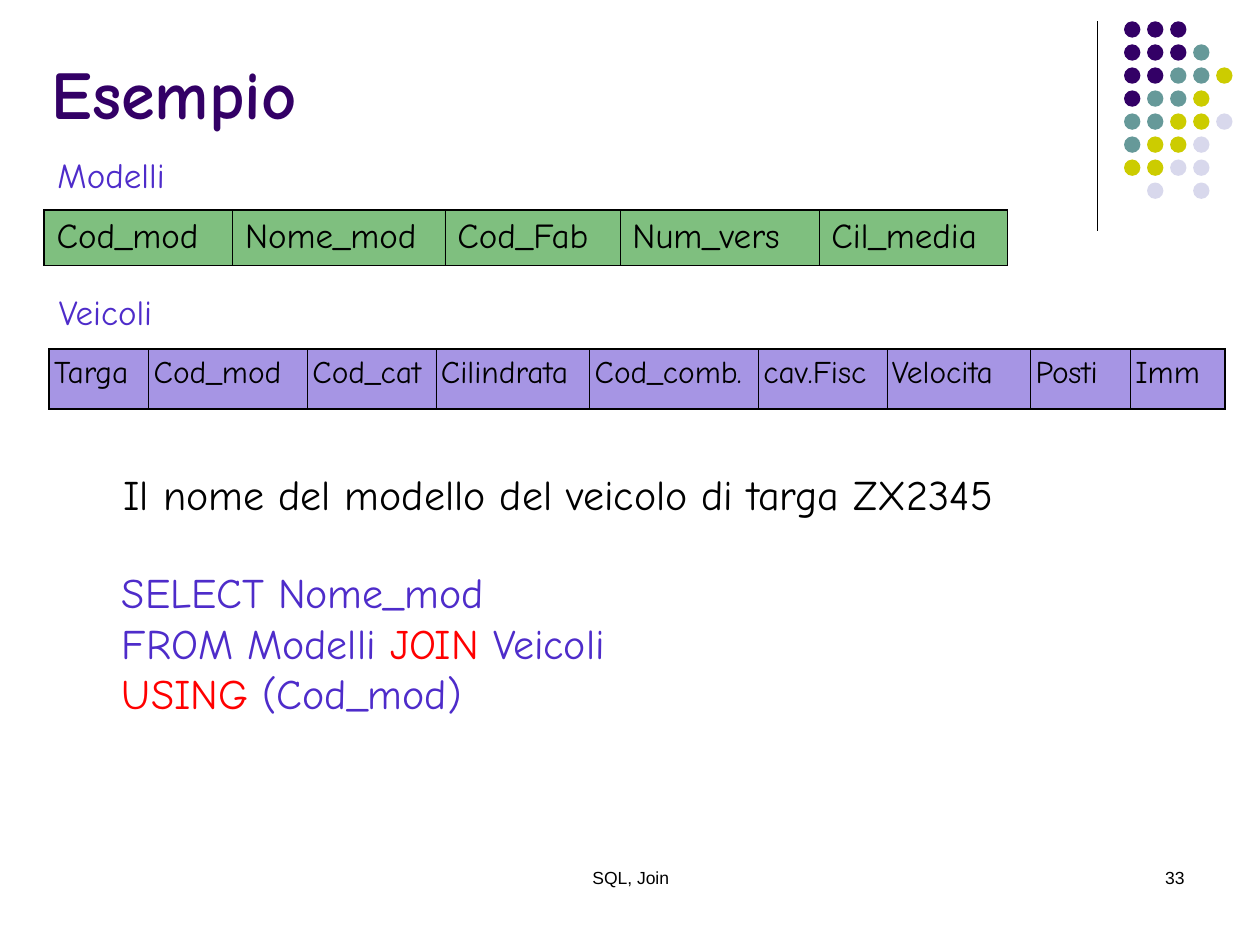
from lxml import etree
from pptx import Presentation
from pptx.dml.color import RGBColor
from pptx.enum.shapes import MSO_CONNECTOR, MSO_SHAPE
from pptx.enum.text import MSO_ANCHOR, MSO_AUTO_SIZE, PP_ALIGN
from pptx.oxml import parse_xml
from pptx.oxml.ns import nsdecls, qn
from pptx.util import Cm, Pt

LEFT, MID, RIGHT = PP_ALIGN.LEFT, PP_ALIGN.CENTER, PP_ALIGN.RIGHT
LINE, OVAL = MSO_CONNECTOR.STRAIGHT, MSO_SHAPE.OVAL
TOP, BOTTOM = MSO_ANCHOR.TOP, MSO_ANCHOR.BOTTOM
FIXED, GROW = MSO_AUTO_SIZE.NONE, MSO_AUTO_SIZE.SHAPE_TO_FIT_TEXT
BLACK, PURPLE, BLUE, RED, GREEN = "000000", "330066", "4E2CCA", "FF0000", "008000"
HAND = "Comic Neue"


def color(code):
    return RGBColor.from_string(code)


def write(frame, lines, size, face=HAND, bold=False, align=LEFT):
    """Fill a text frame with lines, each a list of (text, colour) runs."""
    for i, line in enumerate(lines):
        para = frame.paragraphs[0] if i == 0 else frame.add_paragraph()
        para.alignment = align
        for text, code in line:
            run = para.add_run()
            run.text = text
            look = {"size": Pt(size), "name": face, "bold": bold}
            for key, value in look.items():
                setattr(run.font, key, value)
            run.font.color.rgb = color(code)


deck = Presentation()
deck.slide_width, deck.slide_height = Cm(25.4), Cm(19.05)
slide = deck.slides.add_slide(deck.slide_layouts[5])
shapes = slide.shapes

# Corner ornament: a rule and a grid of dots
rule = shapes.add_connector(LINE, Cm(22.12), Cm(0.43), Cm(22.12), Cm(4.65))
rule.line.color.rgb = color(BLACK)
rule.line.width = Pt(0.75)
etree.SubElement(rule._element.spPr, qn("a:effectLst"))

tones = {"P": PURPLE, "T": "669999", "Y": "CCCC00", "L": "D8D8EC"}
grid = ["PPP", "PPPT", "PPTTY", "PTTY", "TTYYL", "TYYL", "YYLL", " L L"]
step = 3.25 / 7
group = shapes.add_group_shape()
for row, marks in enumerate(grid):
    for col, mark in enumerate(marks):
        if mark in tones:
            dot = group.shapes.add_shape(
                OVAL, Cm(22.66 + col * step), Cm(0.43 + row * step), Cm(0.33), Cm(0.33))
            dot.shadow.inherit = False
            dot.fill.solid()
            dot.fill.fore_color.rgb = color(tones[mark])
            dot.line.fill.background()

# Title
title = shapes.title
place = {"left": Cm(0.79), "top": Cm(-0.79), "width": Cm(20.96), "height": Cm(3.61)}
for key, value in place.items():
    setattr(title, key, value)
frame = title.text_frame
frame.auto_size, frame.vertical_anchor = FIXED, BOTTOM
write(frame, [[("Esempio", PURPLE)]], 39, bold=True)

# Captions, question and query
query = [
    [("SELECT Nome_mod", BLUE)],
    [("FROM Modelli ", BLUE), ("JOIN", RED), (" Veicoli", BLUE)],
    [("USING", RED), (" (Cod_mod)", BLUE)],
]
ask = [[("Il nome del modello del veicolo di targa ZX2345", BLACK)]]
boxes = [
    (0.91, 2.97, 2.67, 1.12, [[("Modelli", BLUE)]], 20),
    (0.94, 5.74, 2.44, 1.12, [[("Veicoli", BLUE)]], 20),
    (2.24, 9.32, 18.08, 1.27, ask, 24),
    (2.21, 11.3, 10.31, 3.3, query, 24),
]
for x, y, w, h, lines, size in boxes:
    frame = shapes.add_textbox(Cm(x), Cm(y), Cm(w), Cm(h)).text_frame
    frame.word_wrap, frame.auto_size = False, GROW
    write(frame, lines, size)

# Footer and page number
for x, w, text, align in [(8.69, 8.05, "SQL, Join", MID), (18.21, 5.92, "33", RIGHT)]:
    frame = shapes.add_textbox(Cm(x), Cm(17.35), Cm(w), Cm(1.27)).text_frame
    frame.word_wrap = True
    write(frame, [[(text, BLACK)]], 10, "Arial", align=align)

# Table schemas: left, top, height, left inset, text size, fill, columns
schemas = [
    (0.89, 4.24, 1.11, 0.25, 20, GREEN,
     {"Cod_mod": 3.8, "Nome_mod": 4.28, "Cod_Fab": 3.53, "Num_vers": 4.01,
      "Cil_media": 3.8}),
    (0.99, 7.04, 1.2, 0.1, 18, BLUE,
     {"Targa": 2.01, "Cod_mod": 3.2, "Cod_cat": 2.59, "Cilindrata": 3.1,
      "Cod_comb.": 3.4, "cav.Fisc": 2.59, "Velocita": 2.9, "Posti": 2.01,
      "Imm": 1.91}),
]
for x, y, h, inset, size, fill, cols in schemas:
    last = len(cols) - 1
    table = shapes.add_table(
        1, len(cols), Cm(x), Cm(y), Cm(sum(cols.values())), Cm(h)).table
    table.first_row = table.horz_banding = False
    for i, (name, width) in enumerate(cols.items()):
        table.columns[i].width = Cm(width)
        cell = table.cell(0, i)
        cell.margin_left, cell.vertical_anchor = Cm(inset), TOP
        write(cell.text_frame, [[(name, BLACK)]], size)
        edges = {"L": 0.45 if i else 1.08, "R": 0.45 if i < last else 1.08,
                 "T": 1.08, "B": 1.08}
        props = cell._tc.get_or_add_tcPr()
        for side, weight in edges.items():
            props.append(parse_xml(
                f'<a:ln{side} {nsdecls("a")} w="{Pt(weight)}"><a:solidFill>'
                f'<a:srgbClr val="{BLACK}"/></a:solidFill></a:ln{side}>'))
        cell.fill.solid()
        cell.fill.fore_color.rgb = color(fill)
        tint = props.find(qn("a:solidFill")).find(qn("a:srgbClr"))
        etree.SubElement(tint, qn("a:alpha"), val="50000")

deck.save("out.pptx")
